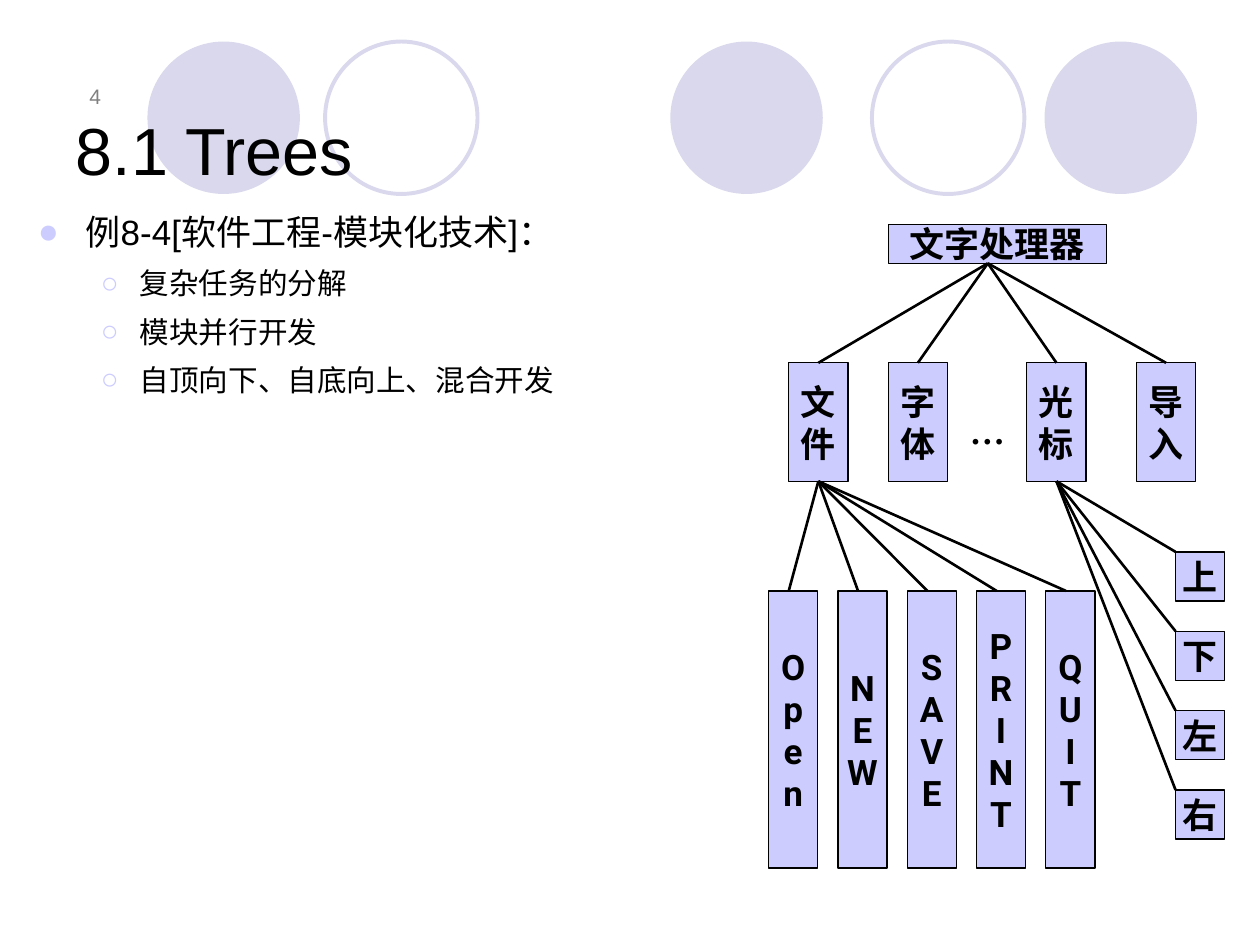
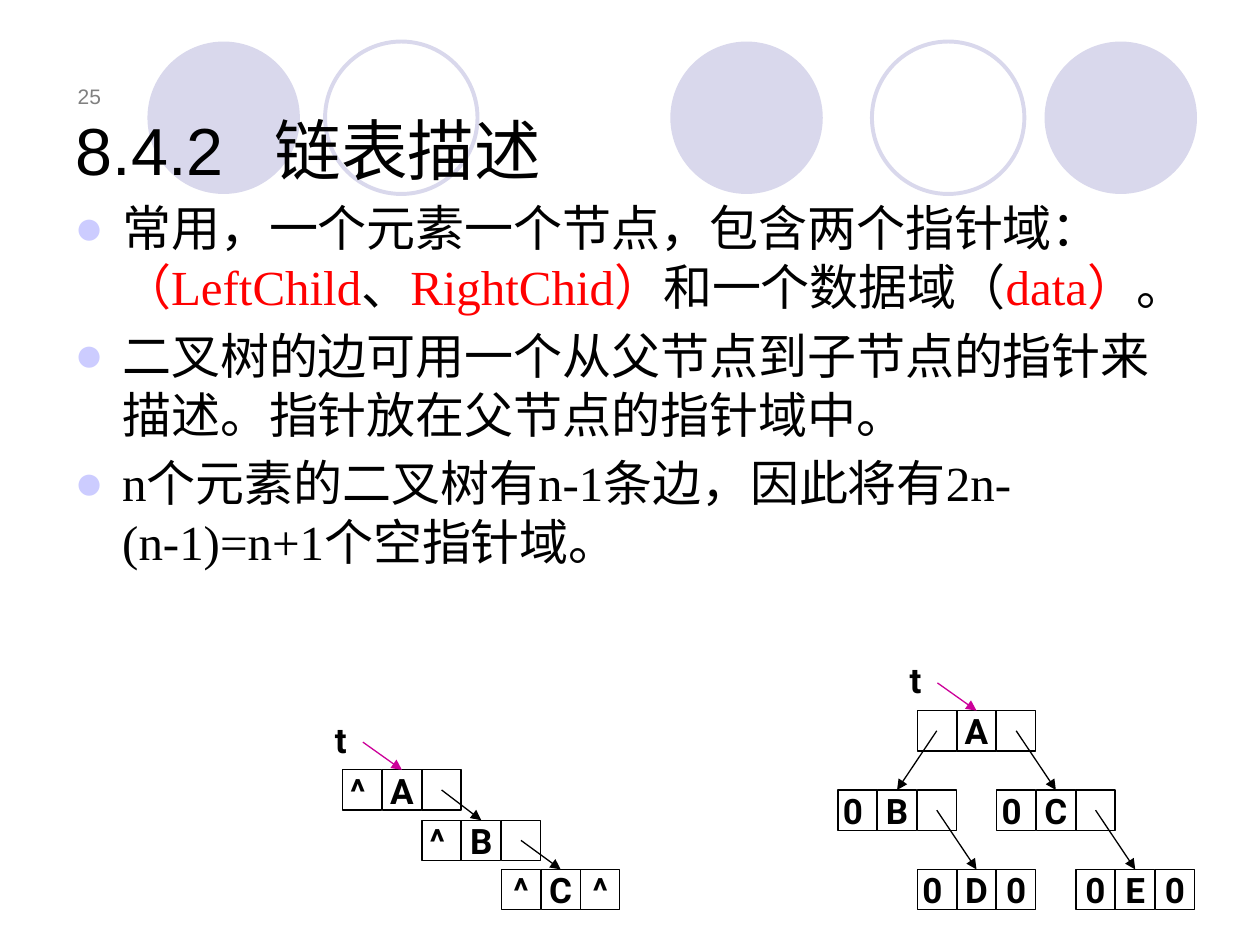
"""Build two slides on trees: a module tree and linked binary trees."""
from dataclasses import dataclass

from lxml.etree import SubElement as Sub
from pptx import Presentation
from pptx.dml.color import RGBColor as Rgb
from pptx.enum.shapes import MSO_CONNECTOR as Conn, MSO_SHAPE as Kind
from pptx.enum.text import MSO_ANCHOR as Anchor, MSO_AUTO_SIZE as Fit, PP_ALIGN as Align
from pptx.oxml.ns import qn
from pptx.util import Inches, Pt

BLACK, GRAY, RED, PINK = "000000", "808080", "FF0000", "CC0099"
LILAC, PALE = "CCCCFF", "D9D8EC"
SANS, BOLD, SERIF = "Arial", "Roboto", "Times New Roman"
PITCH, CELL, HIGH = 0.63 / 2, 0.31, 0.32


@dataclass(frozen=True)
class Ring:
    left: float
    solid: bool


@dataclass(frozen=True)
class Box:
    left: float
    top: float
    width: float
    height: float
    text: str

    @property
    def mid(self) -> float:
        return self.left + self.width / 2

    @property
    def base(self) -> float:
        return self.top + self.height


@dataclass(frozen=True)
class Node:
    left: float
    top: float
    cells: tuple[str, str, str]

    def field(self, place: int) -> tuple[float, float]:
        return self.left + PITCH * place + CELL / 2, self.top + HIGH / 2

    @property
    def head(self) -> tuple[float, float]:
        return self.field(1)[0], self.top


RINGS = (Ring(1.17, True), Ring(2.58, False), Ring(5.32, True),
         Ring(6.92, False), Ring(8.29, True))


def hue(code: str) -> Rgb:
    return Rgb.from_string(code)


def write(para, text: str, *, size: float = 20, font: str = BOLD, color: str = BLACK,
          bold: bool = False, align=None) -> None:
    run = para.add_run()
    run.text = text
    run.font.size, run.font.name, run.font.bold = Pt(size), font, bold
    run.font.color.rgb = hue(color)
    if align is not None:
        para.alignment = align


def place(shape, left: float, top: float, width: float, height: float) -> None:
    shape.left, shape.top = Inches(left), Inches(top)
    shape.width, shape.height = Inches(width), Inches(height)


def draw(slide, kind, left: float, top: float, width: float, height: float,
         fill: str | None = None, line: str | None = BLACK, weight: float = 0.75):
    shape = slide.shapes.add_shape(kind, *map(Inches, (left, top, width, height)))
    shape.shadow.inherit = False
    if fill:
        shape.fill.solid()
        shape.fill.fore_color.rgb = hue(fill)
    else:
        shape.fill.background()
    if line:
        shape.line.color.rgb = hue(line)
        shape.line.width = Pt(weight)
    else:
        shape.line.fill.background()
    return shape


def block(slide, box: Box, fill: str | None = LILAC) -> None:
    shape = draw(slide, Kind.RECTANGLE, box.left, box.top, box.width, box.height, fill)
    frame = shape.text_frame
    frame.word_wrap, frame.vertical_anchor = False, Anchor.MIDDLE
    for i, text in enumerate(box.text.split("|") if box.text else ()):
        para = frame.add_paragraph() if i else frame.paragraphs[0]
        write(para, text, bold=True, align=Align.CENTER)


def join(slide, start: tuple[float, float], end: tuple[float, float],
         color: str = BLACK, weight: float = 1.5, arrow: bool = False) -> None:
    link = slide.shapes.add_connector(Conn.STRAIGHT, *map(Inches, (*start, *end)))
    link.line.color.rgb, link.line.width = hue(color), Pt(weight)
    if arrow:
        Sub(link.line._get_or_add_ln(), qn("a:tailEnd"), type="triangle")
    Sub(link.element.spPr, qn("a:effectLst"))


def label(slide, text: str, left: float, top: float, width: float, height: float, **style):
    frame = slide.shapes.add_textbox(*map(Inches, (left, top, width, height))).text_frame
    frame.word_wrap = True
    write(frame.paragraphs[0], text, **style)
    return frame


def mark(para, sign: str, left: float, hang: float) -> None:
    props = para._p.get_or_add_pPr()
    props.set("marL", str(Inches(left)))
    props.set("indent", str(-Inches(hang)))
    Sub(Sub(props, qn("a:buClr")), qn("a:srgbClr"), val=LILAC)
    Sub(props, qn("a:buFont"), typeface=SANS)
    Sub(props, qn("a:buChar"), char=sign)


def fill_list(slide, area: tuple[float, float, float, float], items, font: str,
              sizes: tuple[float, ...], space: float) -> None:
    body = slide.placeholders[1]
    place(body, *area)
    frame = body.text_frame
    frame.word_wrap, frame.auto_size = True, Fit.NONE
    for i, (level, runs) in enumerate(items):
        para = frame.add_paragraph() if i else frame.paragraphs[0]
        para.level = level
        mark(para, *(("●", 0.38, 0.38), ("○", 0.81, 0.31))[level])
        para.line_spacing = space
        para.space_before = Pt(sizes[level] / 5 if i else 0)
        for text, color in runs:
            write(para, text, size=sizes[level], font=font, color=color)


def add_rings(slide, layout) -> None:
    for i, ring in enumerate(RINGS):
        shape = draw(slide, Kind.OVAL, ring.left, 0.33, 1.21, 1.21,
                     PALE if ring.solid else None, None if ring.solid else PALE, 2.25)
        shape.element.nvSpPr.cNvPr.set("id", str(20 + i))
        layout.shapes.element.insert(2 + i, shape.element)


def add_page(deck, layout, title: str, number: int):
    slide = deck.slides.add_slide(layout)
    head = slide.shapes.title
    place(head, 0.5, 0.3, 9, 1.25)
    frame = head.text_frame
    frame.vertical_anchor, frame.auto_size = Anchor.BOTTOM, Fit.NONE
    para = frame.paragraphs[0]
    if "\t" in title:
        tabs = Sub(para._p.get_or_add_pPr(), qn("a:tabLst"))
        Sub(tabs, qn("a:tab"), pos=str(Inches(1.58)), algn="l")
    write(para, title, size=38, font=SANS, align=Align.LEFT)
    frame = label(slide, str(number), 0.35, 0.44, 0.55, 0.47,
                  size=12, font=SANS, color=GRAY, align=Align.RIGHT)
    frame.vertical_anchor = Anchor.BOTTOM
    return slide


def draw_menu(slide) -> None:
    root = Box(7.05, 1.78, 1.73, 0.31, "文字处理器")
    menus = [Box(left, 2.88, 0.47, 0.94, text) for left, text in
             ((6.26, "文|件"), (7.05, "字|体"), (8.15, "光|标"), (9.02, "导|入"))]
    tasks = [Box(6.1 + 0.55 * i, 4.69, 0.39, 2.2, "|".join(word))
             for i, word in enumerate(("Open", "NEW", "SAVE", "PRINT", "QUIT"))]
    moves = [Box(9.33, 4.38 + 0.63 * i, 0.39, 0.39, text)
             for i, text in enumerate("上下左右")]
    for box in (root, *menus, *tasks, *moves):
        block(slide, box)
    label(slide, "…", 7.6, 3.2, 0.47, 0.43, font=SERIF, bold=True)
    for box in menus:
        join(slide, (7.84, root.base), (box.mid, box.top))
    for box in tasks:
        join(slide, (menus[0].mid, menus[0].base), (box.left + 0.16, box.top))
    for box in moves:
        join(slide, (menus[2].mid, menus[2].base), (box.left, box.top))


def draw_nodes(slide, nodes: dict[str, Node], links) -> None:
    for node in nodes.values():
        for i, text in enumerate(node.cells):
            block(slide, Box(node.left + PITCH * i, node.top, CELL, HIGH, text), None)
    for start, side, end in links:
        join(slide, nodes[start].field(side), nodes[end].head, weight=0.75, arrow=True)
    root = nodes["A"]
    join(slide, (root.left + 0.16, root.top - 0.22), root.head, PINK, 0.75, True)
    label(slide, "t", root.left - 0.16, root.top - 0.46, 0.32, 0.43, bold=True)


def main() -> None:
    deck = Presentation()
    deck.slide_width, deck.slide_height = Inches(10), Inches(7.5)
    layout = deck.slide_layouts[1]

    slide = add_page(deck, layout, "8.1 Trees", 4)
    add_rings(slide, layout)
    lines = ((0, "例8-4[软件工程-模块化技术]："), (1, "复杂任务的分解"),
             (1, "模块并行开发"), (1, "自顶向下、自底向上、混合开发"))
    fill_list(slide, (0.2, 1.55, 5.75, 5.64),
              [(level, [(text, BLACK)]) for level, text in lines], SANS, (20, 16.9), 1.2)
    draw_menu(slide)

    slide = add_page(deck, layout, "8.4.2\t链表描述", 25)
    fill_list(slide, (0.49, 1.52, 9, 3.54), [
        (0, [("常用，一个元素一个节点，包含两个指针域：", BLACK), (" （LeftChild", RED),
             ("、", BLACK), ("RightChid）", RED), ("和一个数据域（", BLACK),
             ("data）", RED), ("。", BLACK)]),
        (0, [("二叉树的边可用一个从父节点到子节点的指针来描述。指针放在父节点的指针域中。", BLACK)]),
        (0, [("n个元素的二叉树有n-1条边，因此将有2n-(n-1)=n+1个空指针域。", BLACK)]),
    ], SERIF, (28,), 1.0)
    draw_nodes(slide, {
        "A": Node(2.72, 6.11, ("^ ", "A", "")),
        "B": Node(3.35, 6.51, ("^ ", "B", "")),
        "C": Node(3.98, 6.9, ("^", "C", "^")),
    }, (("A", 2, "B"), ("B", 2, "C")))
    draw_nodes(slide, {
        "A": Node(7.28, 5.64, ("", "A", "")),
        "B": Node(6.65, 6.27, ("0 ", "B", "")),
        "C": Node(7.91, 6.27, ("0 ", "C", "")),
        "D": Node(7.28, 6.9, ("0 ", "D", "0")),
        "E": Node(8.54, 6.9, ("0", "E", "0")),
    }, (("A", 0, "B"), ("A", 2, "C"), ("B", 2, "D"), ("C", 2, "E")))
    deck.save("out.pptx")


if __name__ == "__main__":
    main()
